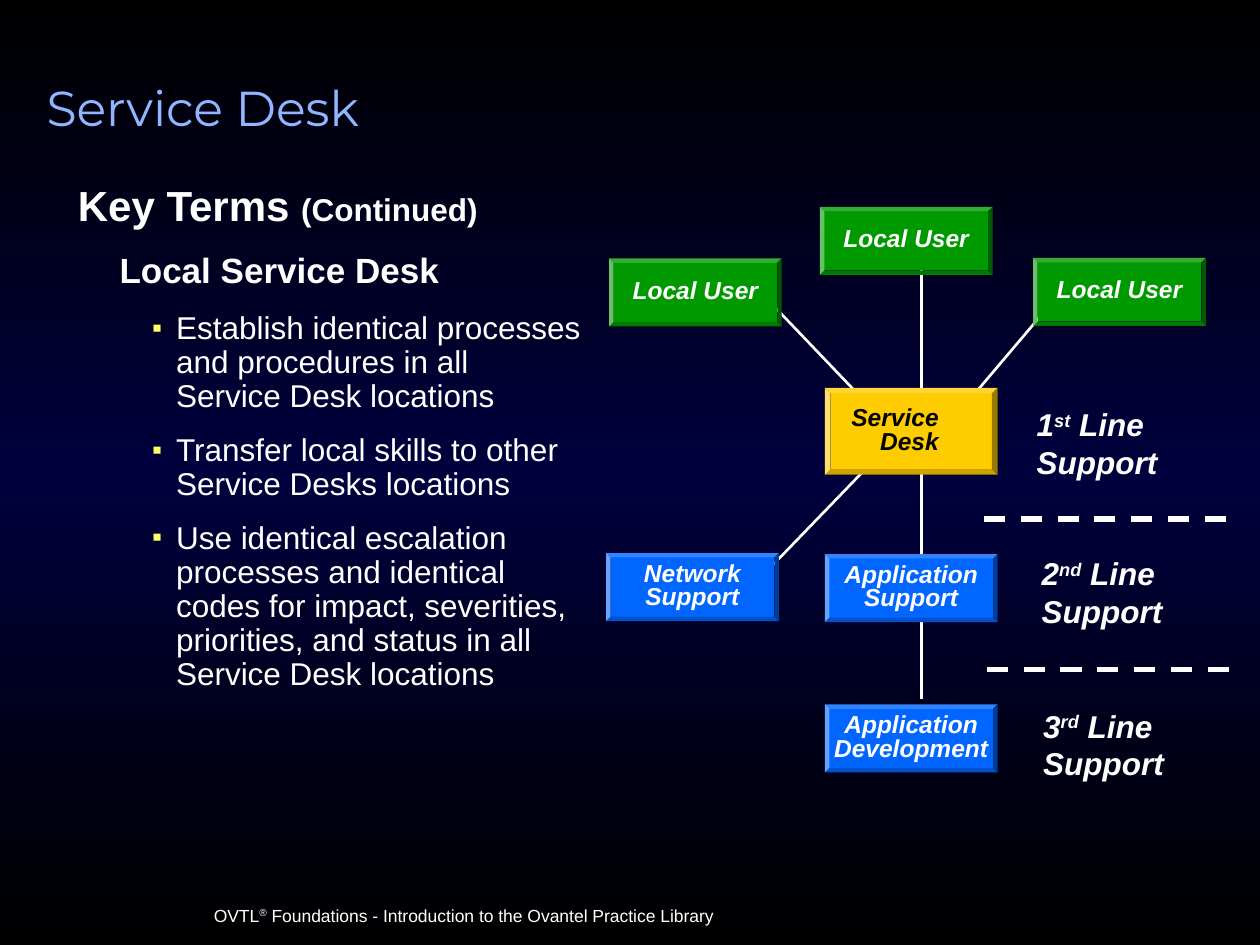
from copy import deepcopy

from lxml import etree
from pptx import Presentation
from pptx import util as u
from pptx.dml.color import RGBColor
from pptx.enum import dml, shapes, text
from pptx.oxml import ns

Cm, Pt = u.Cm, u.Pt
WHITE = RGBColor(0xFF, 0xFF, 0xFF)
BLACK = RGBColor(0, 0, 0)
NAVY = RGBColor(0, 0, 0x3C)
SKY = RGBColor(0x91, 0xB6, 0xFF)
YELLOW = RGBColor(0xFF, 0xFF, 0x66)
GREEN = RGBColor(0, 0x99, 0)
BLUE = RGBColor(0, 0x66, 0xFF)
GOLD = RGBColor(0xFF, 0xCC, 0)

BOX_WIDTH, BOX_HEIGHT, DESK_HEIGHT = 3.48, 1.37, 1.75
AXIS = 18.57

USERS = [(20.83, 5.2), (12.28, 5.21), (16.53, 4.17)]
SUPPORT_TEAMS = [
    ("Network Support", 12.22, 11.15),
    ("Application Support", 16.63, 11.17),
    ("Application Development", 16.63, 14.2),
]
LINKS = [
    (15.27, 11.71, 17.5, 9.4),
    (17.93, 8.61, 15.6, 6.17),
    (AXIS, 8.74, AXIS, 4.95),
    (19.08, 8.61, 21.06, 6.27),
    (AXIS, 14.1, AXIS, 8.74),
]
DIVIDERS = [(24.71, 10.46, 19.53, 10.46), (24.77, 13.49, 19.74, 13.49)]
SUPPORT_LINES = [
    ("1", "st", 20.65, 8.05),
    ("2", "nd", 20.75, 11.05),
    ("3", "rd", 20.78, 14.12),
]
PRACTICES = [
    "Establish identical processes and procedures in all Service Desk locations",
    "Transfer local skills to other Service Desks locations",
    "Use identical escalation processes and identical codes for impact, "
    "severities, priorities, and status in all Service Desk locations",
]


def apply(target, values):
    for name, value in values.items():
        setattr(target, name, value)


def set_background(page):
    fill = page.background.fill
    fill.gradient()
    fill.gradient_angle = 90
    first, last = fill.gradient_stops
    stops = first._gs.getparent()
    stops.insert(1, deepcopy(first._gs))
    for stop, color, position in zip(
        fill.gradient_stops, (BLACK, NAVY, BLACK), (0, 0.5, 1)
    ):
        stop.color.rgb = color
        stop.position = position


def add_span(para, words, size, color=WHITE, face="Arial", raised=False, **style):
    span = para.add_run()
    span.text = words
    apply(span.font, {"name": face, "size": Pt(size), **style})
    span.font.color.rgb = color
    if raised:
        span._r.get_or_add_rPr().set("baseline", "30000")


def add_text_box(page, left, top, width, height):
    box = page.shapes.add_textbox(Cm(left), Cm(top), Cm(width), Cm(height))
    box.text_frame.word_wrap = True
    return box.text_frame


def add_block(page, label, left, top, color, height=BOX_HEIGHT, ink=WHITE,
              align=text.PP_ALIGN.CENTER, right_inset=0):
    block = page.shapes.add_shape(
        shapes.MSO_SHAPE.BEVEL, Cm(left), Cm(top), Cm(BOX_WIDTH), Cm(height)
    )
    block.adjustments[0] = 0.065
    block.shadow.inherit = False
    block.fill.solid()
    block.fill.fore_color.rgb = color
    block.line.fill.background()
    apply(block.text_frame, {
        "word_wrap": True,
        "vertical_anchor": text.MSO_ANCHOR.MIDDLE,
        "margin_left": 0,
        "margin_right": Cm(right_inset),
        "margin_top": 0,
        "margin_bottom": 0,
    })
    para = block.text_frame.paragraphs[0]
    apply(para, {"alignment": align, "line_spacing": 0.8})
    add_span(para, label, 14, ink, bold=True, italic=True)


def add_line(page, ends, width, dash=None):
    line = page.shapes.add_connector(
        shapes.MSO_CONNECTOR.STRAIGHT, *[Cm(value) for value in ends]
    )
    line.line.color.rgb = WHITE
    apply(line.line, {"width": Pt(width), "dash_style": dash})
    etree.SubElement(line._element.spPr, ns.qn("a:effectLst"))


def set_bullet(para):
    props = para._p.get_or_add_pPr()
    color = etree.SubElement(props, ns.qn("a:buClr"))
    etree.SubElement(color, ns.qn("a:srgbClr"), val=str(YELLOW))
    etree.SubElement(props, ns.qn("a:buSzPct"), val="90000")
    etree.SubElement(props, ns.qn("a:buFont"), typeface="Arial")
    etree.SubElement(props, ns.qn("a:buChar"), char="▪")


def format_para(para, before, after, left, hanging):
    apply(para, {
        "line_spacing": 0.9,
        "space_before": Pt(before),
        "space_after": Pt(after),
    })
    props = para._p.get_or_add_pPr()
    props.set("marL", str(Cm(left)))
    props.set("indent", str(Cm(-hanging)))


def add_title(page):
    para = add_text_box(page, 0.69, 1.57, 22.66, 3.4).paragraphs[0]
    para.line_spacing = 0.9
    add_span(para, "Service Desk", 28, SKY, "Montserrat")


def add_key_terms(page):
    frame = add_text_box(page, 1.32, 3.61, 10.65, 13.34)
    heading = frame.paragraphs[0]
    format_para(heading, 0, 6.8, 0.58, 0.58)
    add_span(heading, "Key Terms ", 24, bold=True)
    add_span(heading, "(Continued)", 18, bold=True)
    term = frame.add_paragraph()
    format_para(term, 6.2, 7.5, 1.32, 0.48)
    add_span(term, "Local Service Desk", 20, bold=True)
    for practice in PRACTICES:
        para = frame.add_paragraph()
        format_para(para, 4.5, 6.8, 1.98, 0.48)
        set_bullet(para)
        add_span(para, practice, 18)


def add_support_line(page, number, suffix, left, top):
    para = add_text_box(page, left, top, 3, 1.78).paragraphs[0]
    style = {"size": 18, "bold": True, "italic": True}
    add_span(para, number, **style)
    add_span(para, suffix, raised=True, **style)
    add_span(para, " Line Support", **style)


def add_footer(page):
    para = add_text_box(page, 4.06, 18.11, 14.99, 0.69).paragraphs[0]
    add_span(para, "OVTL", 10)
    add_span(para, "®", 10, raised=True)
    add_span(para, " Foundations - Introduction to the Ovantel Practice Library", 10)


def main():
    deck = Presentation()
    apply(deck, {"slide_width": Cm(25.4), "slide_height": Cm(19.05)})
    page = deck.slides.add_slide(deck.slide_layouts[6])
    set_background(page)
    add_footer(page)
    add_title(page)
    add_key_terms(page)
    for ends in LINKS:
        add_line(page, ends, 1.5)
    for label, left, top in SUPPORT_TEAMS:
        add_block(page, label, left, top, BLUE)
    for left, top in USERS:
        add_block(page, "Local User", left, top, GREEN)
    add_block(page, "Service Desk", 16.63, 7.82, GOLD, DESK_HEIGHT, BLACK,
              text.PP_ALIGN.RIGHT, 1.07)
    for ends in DIVIDERS:
        add_line(page, ends, 3, dml.MSO_LINE.DASH)
    for support_line in SUPPORT_LINES:
        add_support_line(page, *support_line)
    deck.save("out.pptx")


main()
